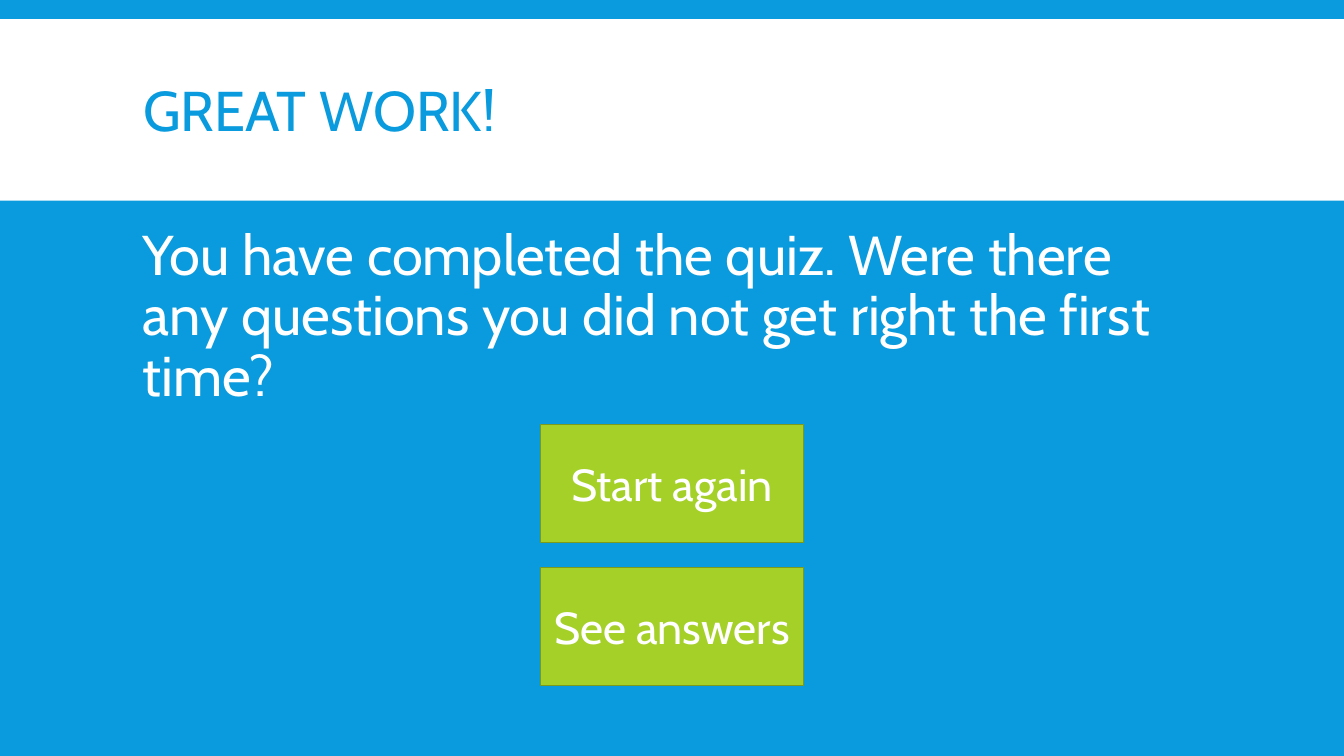
from pptx import Presentation
from pptx.dml.color import RGBColor
from pptx.enum import shapes, text
from pptx.util import Inches, Pt

COLORS = {"blue": "099BDD", "white": "FFFFFF", "green": "A5D028", "olive": "7A9A1E"}


def color(name):
    return RGBColor.from_string(COLORS[name])


def write(box, wording, size, ink, anchor, **formats):
    frame = box.text_frame
    frame.word_wrap = True
    frame.auto_size = text.MSO_AUTO_SIZE.NONE
    frame.vertical_anchor = anchor
    para = frame.paragraphs[0]
    for name, value in formats.items():
        setattr(para, name, value)
    span = para.add_run()
    span.text = wording
    for name, value in {"name": "Cabin", "size": Pt(size)}.items():
        setattr(span.font, name, value)
    span.font.color.rgb = color(ink)


deck = Presentation()
deck.slide_width = Inches(13.33)
deck.slide_height = Inches(7.5)
page = deck.slides.add_slide(deck.slide_layouts[5])
page.background.fill.solid()
page.background.fill.fore_color.rgb = color("blue")

band = page.shapes.add_shape(
    shapes.MSO_SHAPE.RECTANGLE, 0, Inches(0.19), deck.slide_width, Inches(1.8)
)
band.shadow.inherit = False
band.fill.solid()
band.fill.fore_color.rgb = color("white")
band.line.fill.background()

title = page.shapes.title
title.element.addprevious(band.element)
title_place = {"left": 1.32, "top": 0.31, "width": 10.7, "height": 1.65}
for side, length in title_place.items():
    setattr(title, side, Inches(length))
write(title, "GREAT WORK!", 40, "blue", text.MSO_ANCHOR.MIDDLE,
      alignment=text.PP_ALIGN.LEFT, line_spacing=0.85)

message = page.shapes.add_textbox(Inches(1.32), Inches(2.2), Inches(10.7), Inches(4.6))
write(message,
      "You have completed the quiz. Were there any questions you did not get right the first time?",
      40, "white", text.MSO_ANCHOR.TOP,
      line_spacing=0.9, space_before=Pt(12), space_after=Pt(2))

for row, label in enumerate(["Start again", "See answers"]):
    button = page.shapes.add_shape(
        shapes.MSO_SHAPE.RECTANGLE,
        Inches(5.36), Inches(4.21 + row * 1.42), Inches(2.61), Inches(1.17),
    )
    button.shadow.inherit = False
    button.fill.solid()
    button.fill.fore_color.rgb = color("green")
    button.line.color.rgb = color("olive")
    button.line.width = Pt(1)
    write(button, label, 32, "white", text.MSO_ANCHOR.MIDDLE,
          alignment=text.PP_ALIGN.CENTER)

deck.save("out.pptx")
